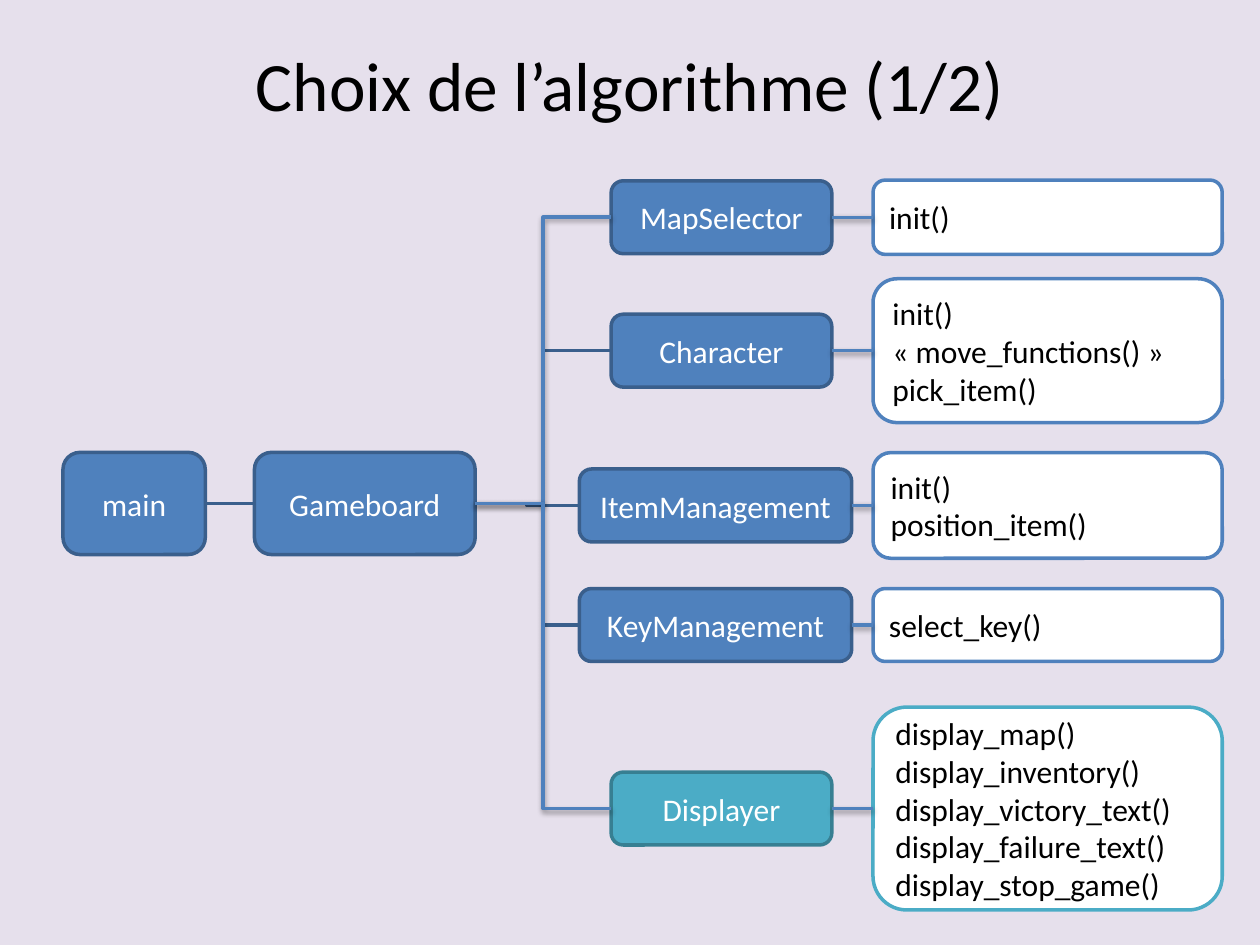
from lxml import etree
from pptx import Presentation
from pptx.dml.color import RGBColor
from pptx.enum.shapes import MSO_CONNECTOR, MSO_SHAPE
from pptx.enum.text import MSO_ANCHOR, PP_ALIGN
from pptx.oxml.ns import qn
from pptx.util import Cm, Pt

LAVENDER = RGBColor(0xE6, 0xE0, 0xEC)
BLUE = RGBColor(0x4F, 0x81, 0xBD)
NAVY = RGBColor(0x3A, 0x5F, 0x8C)
TEAL = RGBColor(0x4B, 0xAC, 0xC6)
DARK_TEAL = RGBColor(0x37, 0x7F, 0x92)
WHITE = RGBColor(0xFF, 0xFF, 0xFF)
BLACK = RGBColor(0, 0, 0)
ROUND = MSO_SHAPE.ROUNDED_RECTANGLE
STRAIGHT, ELBOW = MSO_CONNECTOR.STRAIGHT, MSO_CONNECTOR.ELBOW
MIDDLE, CENTER, LEFT = MSO_ANCHOR.MIDDLE, PP_ALIGN.CENTER, PP_ALIGN.LEFT
SHADOW = {"blurRad": "40000", "dist": "20000", "dir": "5400000", "rotWithShape": "0"}

prs = Presentation()
prs.slide_width, prs.slide_height = Cm(25.4), Cm(19.05)
s = prs.slides.add_slide(prs.slide_layouts[6])
s.background.fill.solid()
s.background.fill.fore_color.rgb = LAVENDER


def add_box(x, mid, w, h, lines, fill, edge, color, align=CENTER, size=18):
    box = (Cm(x), Cm(mid - h / 2), Cm(w), Cm(h))
    if fill is None:
        sp = s.shapes.add_textbox(*box)
    else:
        sp = s.shapes.add_shape(ROUND, *box)
        sp.shadow.inherit = False
        sp.fill.solid()
        sp.fill.fore_color.rgb = fill
        sp.line.color.rgb = edge
        sp.line.width = Pt(2)
    tf = sp.text_frame
    tf.word_wrap = True
    tf.vertical_anchor = MIDDLE
    for i, line in enumerate(lines):
        p = tf.paragraphs[0] if i == 0 else tf.add_paragraph()
        p.alignment = align
        r = p.add_run()
        r.text = line
        for name, value in {"name": "Calibri", "size": Pt(size)}.items():
            setattr(r.font, name, value)
        r.font.color.rgb = color


def add_link(kind, x1, y1, x2, y2, color, shadow=False, bend=None):
    c = s.shapes.add_connector(kind, Cm(x1), Cm(y1), Cm(x2), Cm(y2))
    c.line.color.rgb = color
    c.line.width = Pt(2)
    pr = c._element.spPr
    effects = etree.SubElement(pr, qn("a:effectLst"))
    if shadow:
        shade = etree.SubElement(effects, qn("a:outerShdw"), SHADOW)
        tint = etree.SubElement(shade, qn("a:srgbClr"), val="000000")
        etree.SubElement(tint, qn("a:alpha"), val="38000")
    if bend:
        guides = pr.find(qn("a:prstGeom")).get_or_add_avLst()
        etree.SubElement(guides, qn("a:gd"), name="adj1", fmla=f"val {round(bend * 100000)}")


add_box(1.27, 1.69, 22.86, 1.9, ["Choix de l’algorithme (1/2)"], None, None, BLACK, size=39.6)

TRUNK_Y, TRUNK_X, BOARD_RIGHT = 10.15, 10.95, 9.57
METHODS_X, METHODS_W = 17.6, 7.04
NARROW, WIDE = (12.32, 4.45), (11.68, 5.49)

add_box(1.27, TRUNK_Y, 2.87, 2.06, ["main"], BLUE, NAVY, WHITE)
add_box(5.13, TRUNK_Y, 4.45, 2.06, ["Gameboard"], BLUE, NAVY, WHITE)

modules = [
    ("MapSelector", NARROW, 4.38, 1.5, BLUE, NAVY, BLUE, TRUNK_X, ["init()"]),
    ("Character", NARROW, 7.07, 2.9, BLUE, NAVY, NAVY, TRUNK_X,
     ["init()", "« move_functions() »", "pick_item()"]),
    ("ItemManagement", WIDE, 10.19, 2.13, BLUE, NAVY, NAVY, 10.62,
     ["init()", "position_item()"]),
    ("KeyManagement", WIDE, 12.6, 1.47, BLUE, NAVY, NAVY, TRUNK_X, ["select_key()"]),
    ("Displayer", NARROW, 16.3, 4.09, TEAL, DARK_TEAL, BLUE, TRUNK_X,
     ["display_map()", "display_inventory()", "display_victory_text()",
      "display_failure_text()", "display_stop_game()"]),
]
for name, (x, w), y, h, fill, edge, branch, bend_x, methods in modules:
    add_box(x, y, w, 1.47, [name], fill, edge, WHITE)
    add_box(METHODS_X, y, METHODS_W, h, methods, WHITE, fill, BLACK, LEFT)
    add_link(STRAIGHT, x + w, y, METHODS_X, y, BLUE, shadow=True)

for branch_color in (NAVY, BLUE):
    for name, (x, w), y, h, fill, edge, branch, bend_x, methods in modules:
        if branch == branch_color:
            bend = (bend_x - BOARD_RIGHT) / (x - BOARD_RIGHT)
            add_link(ELBOW, BOARD_RIGHT, TRUNK_Y, x, y, branch, branch == BLUE, bend)
add_link(STRAIGHT, 4.14, TRUNK_Y, 5.13, TRUNK_Y, NAVY)

prs.save("out.pptx")
